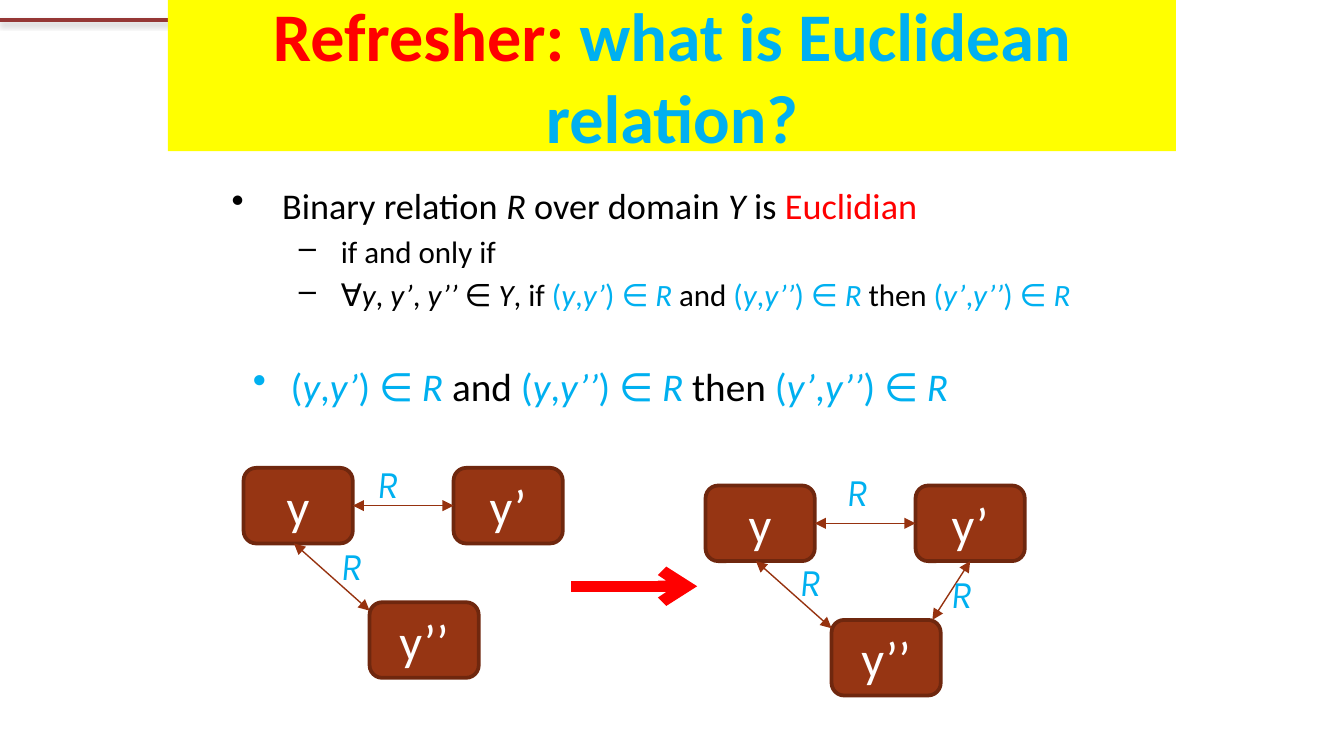
import dataclasses

import lxml.etree
import pptx
import pptx.dml.color
import pptx.enum.shapes
import pptx.enum.text
import pptx.oxml
import pptx.oxml.ns
import pptx.util

PX = 5715
ALIGN = pptx.enum.text.PP_ALIGN
ANCHOR = pptx.enum.text.MSO_ANCHOR
SHAPE = pptx.enum.shapes.MSO_SHAPE


@dataclasses.dataclass(frozen=True)
class Theme:
    """Colours, fonts and type sizes of the slide."""
    black: str = "000000"
    white: str = "FFFFFF"
    red: str = "FF0000"
    blue: str = "00B0F0"
    yellow: str = "FFFF00"
    rule: str = "953735"
    node: str = "963513"
    node_edge: str = "6F270E"
    link: str = "96320F"
    font: str = "Calibri"
    label_font: str = "Karla"
    title: float = 36.5
    point: float = 19.4
    subpoint: float = 16.6
    summary: float = 21
    node_text: float = 27


THEME = Theme()


def px(*lengths):
    """Turn pixel lengths into EMU."""
    return [pptx.util.Emu(length * PX) for length in lengths]


def rgb(colour):
    """Turn a hex string into a colour."""
    return pptx.dml.color.RGBColor.from_string(colour)


def apply(target, values):
    """Set each attribute named in a dict of format values."""
    for name, value in values.items():
        setattr(target, name, value)


def add_child(parent, tag, **attributes):
    """Append a DrawingML element with the given attributes."""
    child = lxml.etree.SubElement(parent, pptx.oxml.ns.qn(f"a:{tag}"))
    for name, value in attributes.items():
        child.set(name, str(value))
    return child


def add_spans(para, spans, size, font=THEME.font, bold=False):
    """Fill a paragraph with (text, colour, italic) spans."""
    for text, colour, italic in spans:
        span = para.add_run()
        span.text = text
        apply(span.font, {"name": font, "size": pptx.util.Pt(size),
                          "bold": bold, "italic": italic})
        span.font.color.rgb = rgb(colour)


def add_text_box(page, box, insets=(16, 8, 16, 8), anchor=ANCHOR.TOP):
    """Add a wrapping text box and return it."""
    shape = page.shapes.add_textbox(*px(*box))
    left, top, right, bottom = px(*insets)
    apply(shape.text_frame, {
        "word_wrap": True, "vertical_anchor": anchor, "margin_left": left,
        "margin_top": top, "margin_right": right, "margin_bottom": bottom})
    return shape


def add_bullet(para, mark, indent, hanging, size, level=0):
    """Give a paragraph a hanging bullet and space above."""
    apply(para, {"level": level, "space_before": pptx.util.Pt(round(size * 0.2, 1))})
    properties = para._p.get_or_add_pPr()
    properties.set("marL", str(indent * PX))
    properties.set("indent", str(-hanging * PX))
    add_child(properties, "buChar", char=mark)


def add_line(page, start, end, colour, width, head=None, tail=None):
    """Draw a straight line and return its effect list."""
    line = page.shapes.add_connector(
        pptx.enum.shapes.MSO_CONNECTOR.STRAIGHT, *px(*start, *end))
    line.line.color.rgb = rgb(colour)
    line.line.width = pptx.util.Pt(width)
    outline = line.line._get_or_add_ln()
    for tag, kind in (("headEnd", head), ("tailEnd", tail)):
        if kind:
            add_child(outline, tag, type=kind)
    return add_child(line._element.spPr, "effectLst")


def membership(first, second):
    """Return the spans that say a pair belongs to R."""
    parts = (("(", False), (first, True), (",", False), (second, True),
             (") ∈ ", False), ("R", True))
    return [(text, THEME.blue, italic) for text, italic in parts]


def euclidean_rule():
    """Return the spans of the rule shared by both text regions."""
    return [*membership("y", "y’"), (" and ", THEME.black, False),
            *membership("y", "y’’"), (" then ", THEME.black, False),
            *membership("y’", "y’’")]


def draw_rule(page, box):
    """Draw the shadowed line across the top."""
    left, top, width, height = box
    effects = add_line(page, (left, top), (left + width, top + height), THEME.rule, 2)
    shadow = add_child(effects, "outerShdw", blurRad=39370, dist=20320, dir=5400000)
    add_child(add_child(shadow, "srgbClr", val="808080"), "alpha", val=38000)


def draw_title(page, box):
    """Place the title on its filled band."""
    band = add_text_box(page, box, anchor=ANCHOR.MIDDLE)
    band.fill.solid()
    band.fill.fore_color.rgb = rgb(THEME.yellow)
    para = band.text_frame.paragraphs[0]
    para.alignment = ALIGN.CENTER
    add_spans(para, [("Refresher: ", THEME.red, False),
                     ("what is Euclidean relation?", THEME.blue, False)],
              THEME.title, bold=True)


def draw_definition(page, box):
    """Write the definition with its two subpoints."""
    black = THEME.black
    statement = [("Binary relation ", black, False), ("R", black, True),
                 (" over domain ", black, False), ("Y", black, True),
                 (" is ", black, False), ("Euclidian", THEME.red, False)]
    quantifier = [("∀", black, False), ("y", black, True), (", ", black, False),
                  ("y’", black, True), (", ", black, False), ("y’’", black, True),
                  (" ∈ ", black, False), ("Y", black, True), (", if ", black, False)]
    frame = add_text_box(page, box).text_frame
    para = frame.paragraphs[0]
    add_bullet(para, "•", 60, 60, THEME.point)
    add_spans(para, statement, THEME.point)
    for spans in ([("if and only if", black, False)], quantifier + euclidean_rule()):
        para = frame.add_paragraph()
        add_bullet(para, "–", 130, 50, THEME.subpoint, level=1)
        add_spans(para, spans, THEME.subpoint)


def draw_summary(page, box):
    """Write the rule as a single point."""
    para = add_text_box(page, box, (11, 6, 11, 6)).text_frame.paragraphs[0]
    add_bullet(para, "•", 45, 45, THEME.summary)
    add_spans(para, euclidean_rule(), THEME.summary)


def draw_node(page, box, name):
    """Draw one rounded node with its name."""
    node = page.shapes.add_shape(SHAPE.ROUNDED_RECTANGLE, *px(*box))
    node.shadow.inherit = False
    node.fill.solid()
    node.fill.fore_color.rgb = rgb(THEME.node)
    node.line.color.rgb = rgb(THEME.node_edge)
    node.line.width = pptx.util.Pt(2)
    node.text_frame.vertical_anchor = ANCHOR.MIDDLE
    para = node.text_frame.paragraphs[0]
    para.alignment = ALIGN.CENTER
    add_spans(para, [(name, THEME.white, False)], THEME.node_text)


def draw_graph(page, box, links):
    """Draw three nodes and the labelled links between them."""
    left, top, width, height = box
    node_width, node_height = 130, 90
    across, down = width - node_width, height - node_height
    for name, x, y in (("y", 0, 0), ("y’", across, 0), ("y’’", 150, down)):
        draw_node(page, (left + x, top + y, node_width, node_height), name)
    for (x1, y1), (x2, y2), (x, y) in links:
        add_line(page, (left + x1, top + y1), (left + x2, top + y2),
                 THEME.link, 0.75, "triangle", "triangle")
        label = add_text_box(page, (left + x, top + y, 91, 72), (37, 8, 0, 8))
        add_spans(label.text_frame.paragraphs[0], [("R", THEME.blue, True)],
                  THEME.summary, THEME.label_font)


def main():
    """Build the slide and save the deck."""
    deck = pptx.Presentation()
    deck.slide_width, deck.slide_height = px(1600, 900)
    page = deck.slides.add_slide(deck.slide_layouts[6])
    draw_rule(page, (0, 24, 1387, 0))
    draw_title(page, (200, 0, 1200, 180))
    draw_definition(page, (260, 210, 1080, 190))
    draw_summary(page, (290, 425, 1080, 90))
    level, slope, closing = ((130, 45), (250, 45)), ((60, 90), (150, 170)), ((270, 160), (315, 90))
    draw_graph(page, (290, 557, 380, 250), [(*level, (121, -18)), (*slope, (78, 80))])
    draw_graph(page, (840, 578, 380, 250),
               [(*level, (130, -29)), (*slope, (74, 78)), (*closing, (254, 92))])
    add_line(page, (680, 698), (830, 698), THEME.red, 6, tail="arrow")
    deck.save("out.pptx")


if __name__ == "__main__":
    main()
